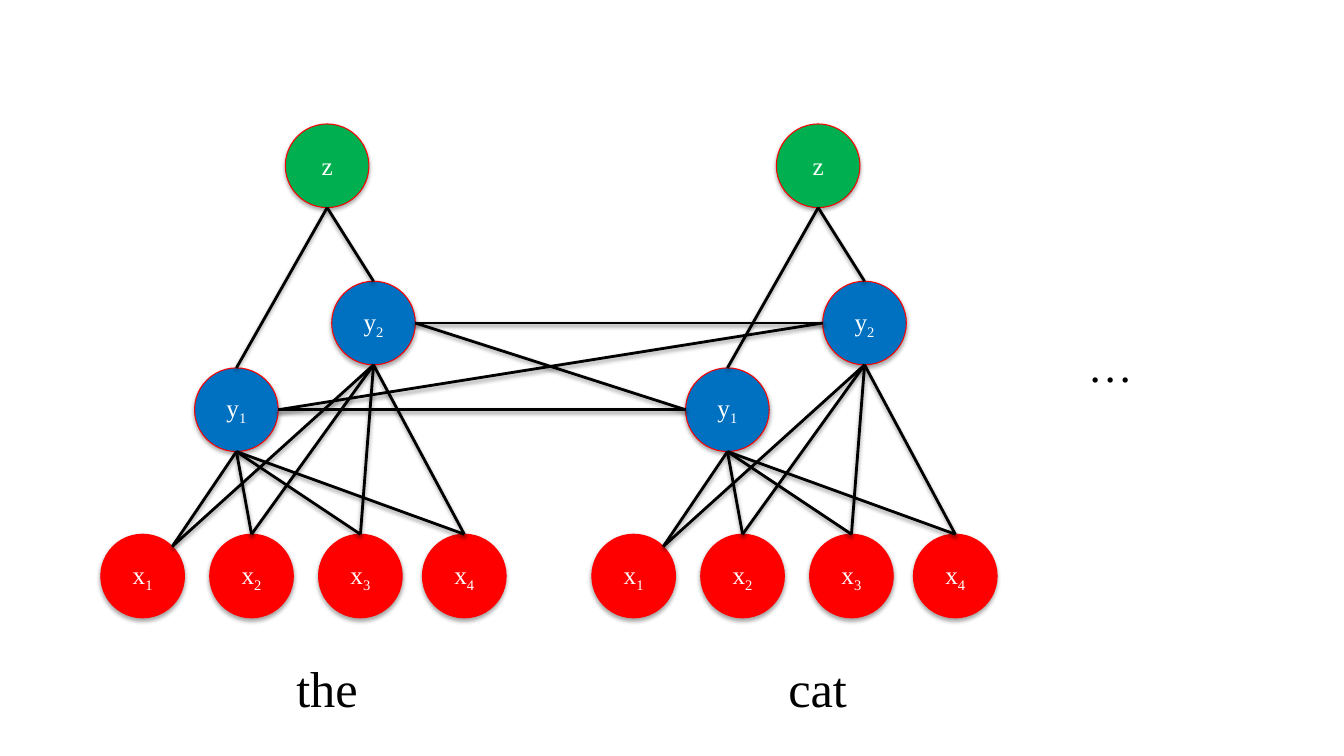
from dataclasses import dataclass
from math import sqrt

from lxml import etree
from pptx import Presentation
from pptx.dml.color import RGBColor
from pptx.enum.shapes import MSO_CONNECTOR, MSO_SHAPE
from pptx.enum.text import MSO_ANCHOR, MSO_AUTO_SIZE, PP_ALIGN
from pptx.oxml import parse_xml
from pptx.oxml.ns import nsdecls
from pptx.util import Inches, Pt

FONT = "Times New Roman"
RED, BLUE, GREEN = "FF0000", "0070C0", "00B050"
BLACK, WHITE = "000000", "FFFFFF"
DIAMETER = 0.83
RADIUS = DIAMETER / 2
WORD_STEP = 4.87  # distance between the two word networks

Point = tuple[float, float]


@dataclass(frozen=True)
class Node:
    letter: str
    index: str
    left: float
    top: float
    fill: str

    def site(self, dx: float, dy: float) -> Point:
        """Point on the rim in the unit direction (dx, dy)."""
        return (self.left + RADIUS * (1 + dx), self.top + RADIUS * (1 + dy))

    def shifted(self, dx: float) -> "Node":
        return Node(self.letter, self.index, self.left + dx, self.top, self.fill)


@dataclass(frozen=True)
class Label:
    text: str
    left: float
    top: float
    width: float
    height: float
    size: int
    wrap: bool


TOP, BOTTOM, LEFT, RIGHT = (0, -1), (0, 1), (-1, 0), (1, 0)
TOP_RIGHT = (1 / sqrt(2), -1 / sqrt(2))

INPUTS = [Node("x", str(i), left, 5.3, RED)
          for i, left in enumerate((1, 2.08, 3.16, 4.19), start=1)]
HIDDEN = [Node("y", "1", 1.93, 3.65, BLUE), Node("y", "2", 3.29, 2.79, BLUE)]
OUTPUT = Node("z", "", 2.83, 1.23, GREEN)
LABELS = [
    Label("…", 10.69, 3.3, 1.18, 0.64, 32, True),
    Label("the", 2.84, 6.47, 0.82, 0.71, 36, False),
    Label("cat", 7.72, 6.47, 0.79, 0.71, 36, False),
]


def color(value: str) -> RGBColor:
    return RGBColor.from_string(value)


def add_shadow(shape, distance: float, opacity: int) -> None:
    """Soft black shadow falling straight down."""
    shape._element.spPr.append(parse_xml(
        f'<a:effectLst {nsdecls("a")}><a:outerShdw blurRad="{Pt(3.1)}" '
        f'dist="{Pt(distance)}" dir="5400000" rotWithShape="0">'
        f'<a:srgbClr val="{BLACK}"><a:alpha val="{opacity * 1000}"/></a:srgbClr>'
        '</a:outerShdw></a:effectLst>'))


def add_run(paragraph, text: str, size: int, ink: str):
    run = paragraph.add_run()
    run.text = text
    run.font.name = FONT
    run.font.size = Pt(size)
    run.font.color.rgb = color(ink)
    return run


def draw_node(shapes, node: Node) -> None:
    circle = shapes.add_shape(MSO_SHAPE.OVAL, Inches(node.left), Inches(node.top),
                              Inches(DIAMETER), Inches(DIAMETER))
    circle.fill.solid()
    circle.fill.fore_color.rgb = color(node.fill)
    circle.line.color.rgb = color(RED)
    circle.line.width = Pt(0.75)
    add_shadow(circle, 1.8, 35)
    circle.text_frame.vertical_anchor = MSO_ANCHOR.MIDDLE
    paragraph = circle.text_frame.paragraphs[0]
    paragraph.alignment = PP_ALIGN.CENTER
    add_run(paragraph, node.letter, 18, WHITE)
    if node.index:
        subscript = add_run(paragraph, node.index, 18, WHITE)
        subscript.font._element.set("baseline", "-25000")


def draw_link(shapes, start: Point, end: Point) -> None:
    link = shapes.add_connector(MSO_CONNECTOR.STRAIGHT,
                                *(Inches(v) for v in start + end))
    link.line.color.rgb = color(BLACK)
    link.line.width = Pt(2)
    add_shadow(link, 1.6, 38)


def draw_network(shapes, dx: float) -> list[Node]:
    """Draw one word's network and return its hidden nodes."""
    inputs = [node.shifted(dx) for node in INPUTS]
    hidden = [node.shifted(dx) for node in HIDDEN]
    output = OUTPUT.shifted(dx)
    for node in [*inputs, *hidden, output]:
        draw_node(shapes, node)
    for y in hidden:
        for x in inputs:
            side = TOP_RIGHT if x is inputs[0] else TOP
            draw_link(shapes, x.site(*side), y.site(*BOTTOM))
        draw_link(shapes, y.site(*TOP), output.site(*BOTTOM))
    return hidden


def draw_label(shapes, label: Label) -> None:
    box = shapes.add_textbox(Inches(label.left), Inches(label.top),
                             Inches(label.width), Inches(label.height))
    box.text_frame.word_wrap = label.wrap
    box.text_frame.auto_size = MSO_AUTO_SIZE.SHAPE_TO_FIT_TEXT
    add_run(box.text_frame.paragraphs[0], label.text, label.size, BLACK)


prs = Presentation()
prs.slide_width, prs.slide_height = Inches(13.33), Inches(7.5)
slide = prs.slides.add_slide(prs.slide_layouts[6])

# One grouped network per word
first, second = (draw_network(slide.shapes.add_group_shape().shapes, i * WORD_STEP)
                 for i in range(2))

# Links between the hidden nodes of neighbouring words
for before in first:
    for after in second:
        draw_link(slide.shapes, before.site(*RIGHT), after.site(*LEFT))

# Words and continuation dots
for label in LABELS:
    draw_label(slide.shapes, label)

prs.save("out.pptx")
